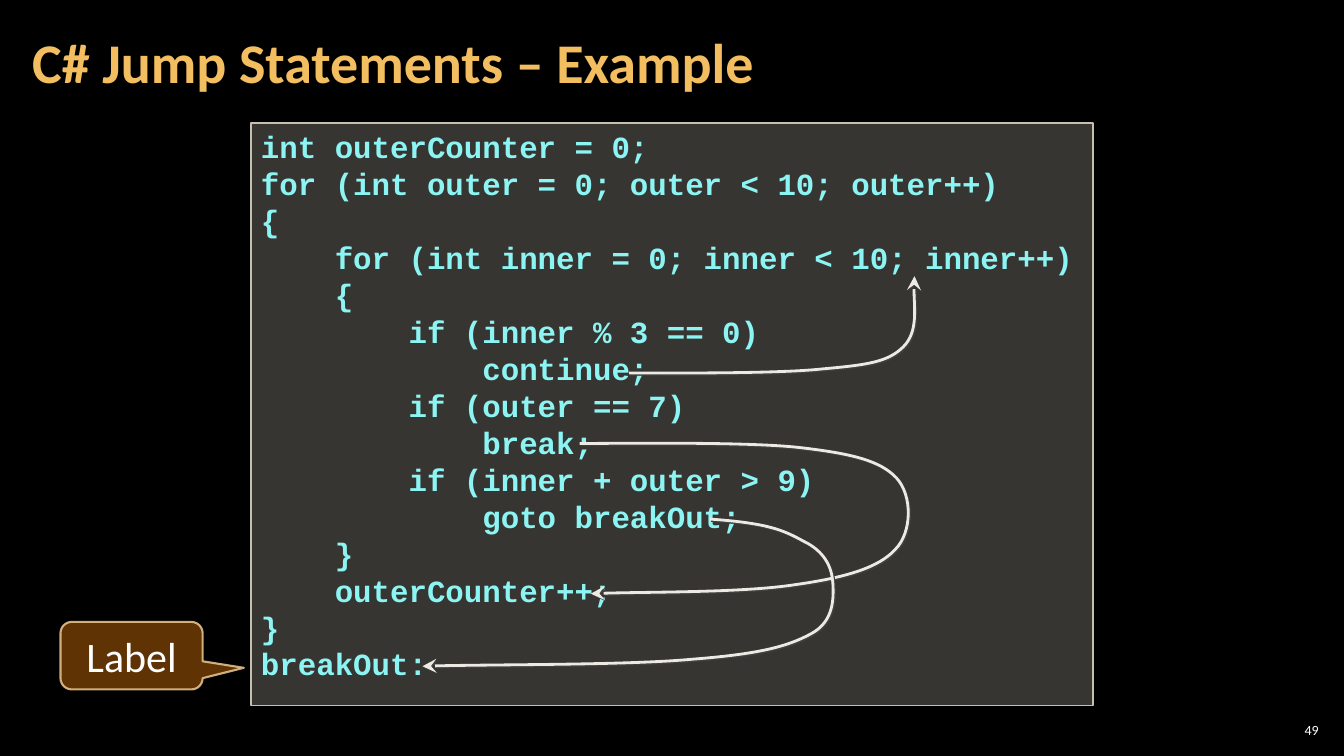
from dataclasses import dataclass

from lxml import etree
from pptx import Presentation
from pptx import util as u
from pptx.dml import color
from pptx.enum import shapes, text
from pptx.oxml import ns

PX = 9144  # EMU per px, 100 px to the inch


@dataclass(frozen=True)
class Theme:
    background: str = "000000"
    title: str = "F3BE60"
    code: str = "8CF4F2"
    panel: str = "D9D5C7"
    panel_edge: str = "C7BFAC"
    arrow: str = "ECEAE3"
    arrow_shadow: str = "404040"
    callout: str = "663606"
    callout_edge: str = "F8D49E"
    plain: str = "FFFFFF"
    body_font: str = "Calibri"
    code_font: str = "Courier New"
    title_size: int = 40
    label_size: int = 30
    code_size: int = 22
    number_size: int = 10


CODE = """\
int outerCounter = 0;
for (int outer = 0; outer < 10; outer++)
{
    for (int inner = 0; inner < 10; inner++)
    {
        if (inner % 3 == 0)
            continue;
        if (outer == 7)
            break;
        if (inner + outer > 9)
            goto breakOut;
    }
    outerCounter++;
}
breakOut:"""

# Each jump: a start point, then cubic segments of two controls and an end
CONTINUE_JUMP = [(624, 370),
                 (656, 370), (771, 371), (816, 366),
                 (861, 362), (881, 359), (896, 344),
                 (911, 329), (905, 289), (907, 274)]
BREAK_JUMP = [(575, 440),
              (612, 440), (740, 438), (793, 444),
              (845, 450), (873, 457), (889, 474),
              (905, 491), (905, 528), (888, 545),
              (872, 563), (839, 573), (789, 580),
              (738, 588), (628, 587), (586, 589)]
GOTO_JUMP = [(704, 515),
             (762, 519), (777, 526), (797, 537),
             (818, 547), (825, 563), (826, 578),
             (827, 594), (827, 617), (804, 629),
             (780, 642), (751, 649), (687, 654),
             (623, 660), (475, 659), (419, 661)]


def rgb(value):
    return color.RGBColor.from_string(value)


def write(frame, content, *, font, size, ink, bold=False, align=text.PP_ALIGN.LEFT,
          anchor=text.MSO_ANCHOR.MIDDLE, spacing=1.0, insets=(10, 5)):
    """Fill a text frame, one paragraph to each line of content."""
    frame.word_wrap = True
    frame.vertical_anchor = anchor
    frame.margin_left = frame.margin_right = insets[0] * PX
    frame.margin_top = frame.margin_bottom = insets[1] * PX
    for index, line in enumerate(content.split("\n")):
        paragraph = frame.add_paragraph() if index else frame.paragraphs[0]
        paragraph.alignment = align
        paragraph.line_spacing = spacing
        run = paragraph.add_run()
        run.text = line
        run.font.name = font
        run.font.size = u.Pt(size)
        run.font.bold = bold
        run.font.color.rgb = rgb(ink)


def set_opacity(fill_parent, percent):
    """Make the solid fill directly under an element partly transparent."""
    tint = fill_parent.find(ns.qn("a:solidFill"))[0]
    etree.SubElement(tint, ns.qn("a:alpha")).set("val", str(percent * 1000))


def bend(outline):
    """Turn every three straight steps of an outline into one cubic curve."""
    steps = outline.findall(ns.qn("a:lnTo"))
    for first in range(0, len(steps), 3):
        curve = etree.SubElement(outline, ns.qn("a:cubicBezTo"))
        for step in steps[first:first + 3]:
            curve.append(step[0])
            outline.remove(step)


class SlideBuilder:
    def __init__(self, slide, theme):
        self.slide = slide
        self.theme = theme
        slide.background.fill.solid()
        slide.background.fill.fore_color.rgb = rgb(theme.background)

    def text_box(self, box, content, **style):
        area = self.slide.shapes.add_textbox(*(n * PX for n in box))
        write(area.text_frame, content, **style)

    def block(self, kind, box, fill, fill_opacity, edge, edge_width, edge_opacity=100):
        block = self.slide.shapes.add_shape(kind, *(n * PX for n in box))
        block.shadow.inherit = False
        block.fill.solid()
        block.fill.fore_color.rgb = rgb(fill)
        block.line.color.rgb = rgb(edge)
        block.line.width = u.Pt(edge_width)
        properties = block._element.spPr
        set_opacity(properties, fill_opacity)
        set_opacity(properties.find(ns.qn("a:ln")), edge_opacity)
        return block

    def jump_arrow(self, nodes):
        builder = self.slide.shapes.build_freeform(*nodes[0], scale=PX)
        builder.add_line_segments(nodes[1:], close=False)
        arrow = builder.convert_to_shape()
        arrow.fill.background()
        arrow.line.color.rgb = rgb(self.theme.arrow)
        arrow.line.width = u.Pt(2)
        arrow.shadow.inherit = False
        properties = arrow._element.spPr
        bend(next(properties.iter(ns.qn("a:path"))))
        etree.SubElement(properties.find(ns.qn("a:ln")), ns.qn("a:tailEnd"),
                         type="stealth", w="lg", len="lg")
        shadow = etree.SubElement(properties.find(ns.qn("a:effectLst")), ns.qn("a:outerShdw"),
                                  dist=str(u.Pt(1.4)), dir=str(45 * 60000))
        etree.SubElement(shadow, ns.qn("a:srgbClr")).set("val", self.theme.arrow_shadow)


def main():
    theme = Theme()
    deck = Presentation()
    deck.slide_width, deck.slide_height = 1333 * PX, 750 * PX
    page = SlideBuilder(deck.slides.add_slide(deck.slide_layouts[6]), theme)

    # Title
    page.text_box((20, 4, 1047, 121), "C# Jump Statements – Example",
                  font=theme.body_font, size=theme.title_size, ink=theme.title,
                  bold=True, spacing=0.9, insets=(12, 4))

    # Code panel
    code_panel = page.block(shapes.MSO_SHAPE.RECTANGLE, (249, 122, 835, 578),
                            theme.panel, 25, theme.panel_edge, 1)
    write(code_panel.text_frame, CODE, font=theme.code_font, size=theme.code_size,
          ink=theme.code, bold=True, anchor=text.MSO_ANCHOR.TOP)

    # Jump arrows
    for jump in (CONTINUE_JUMP, BREAK_JUMP, GOTO_JUMP):
        page.jump_arrow(jump)

    # Label callout
    label_callout = page.block(shapes.MSO_SHAPE.ROUNDED_RECTANGULAR_CALLOUT, (60, 617, 141, 67),
                               theme.callout, 95, theme.callout_edge, 1.5, edge_opacity=80)
    label_callout.adjustments[0] = 0.79
    label_callout.adjustments[1] = 0.18
    write(label_callout.text_frame, "Label", font=theme.body_font, size=theme.label_size,
          ink=theme.plain, align=text.PP_ALIGN.CENTER)

    # Slide number
    page.text_box((1265, 714, 47, 21), "49", font=theme.body_font, size=theme.number_size,
                  ink=theme.plain, align=text.PP_ALIGN.RIGHT, insets=(4, 4))

    deck.save("out.pptx")


if __name__ == "__main__":
    main()
